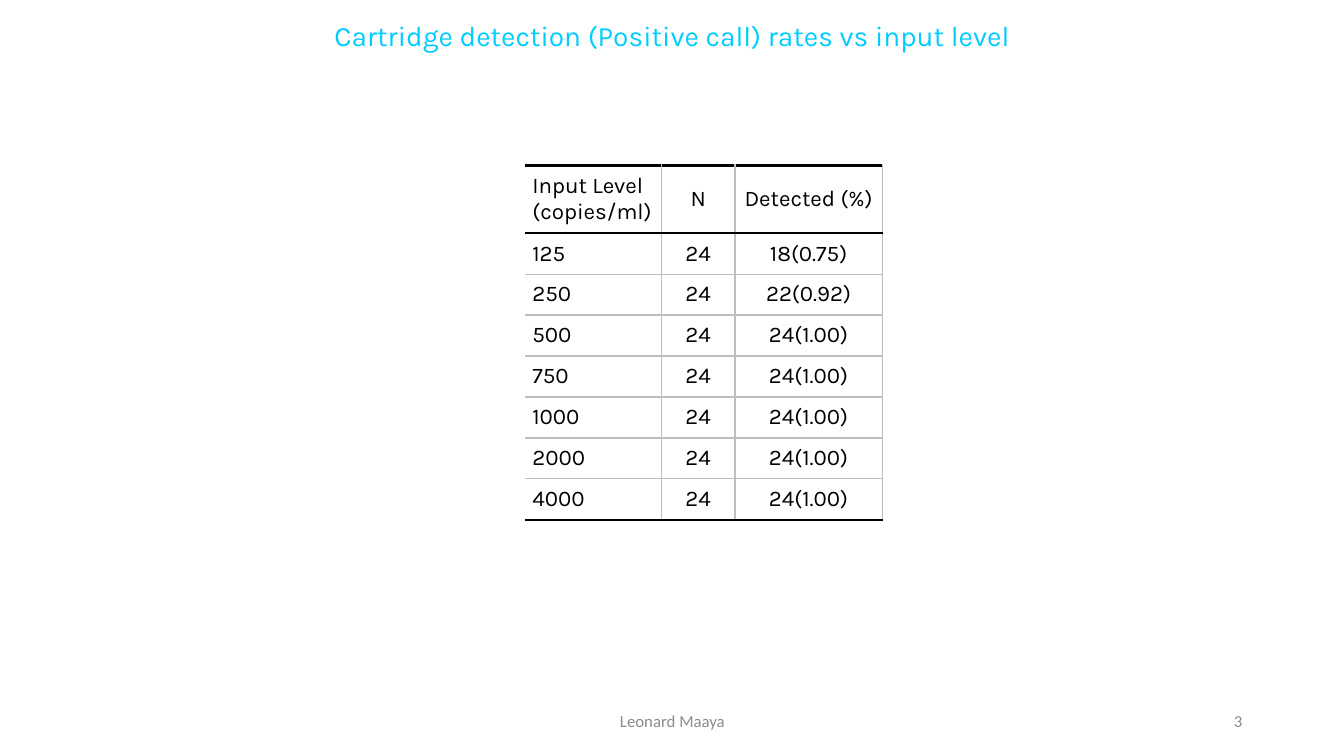
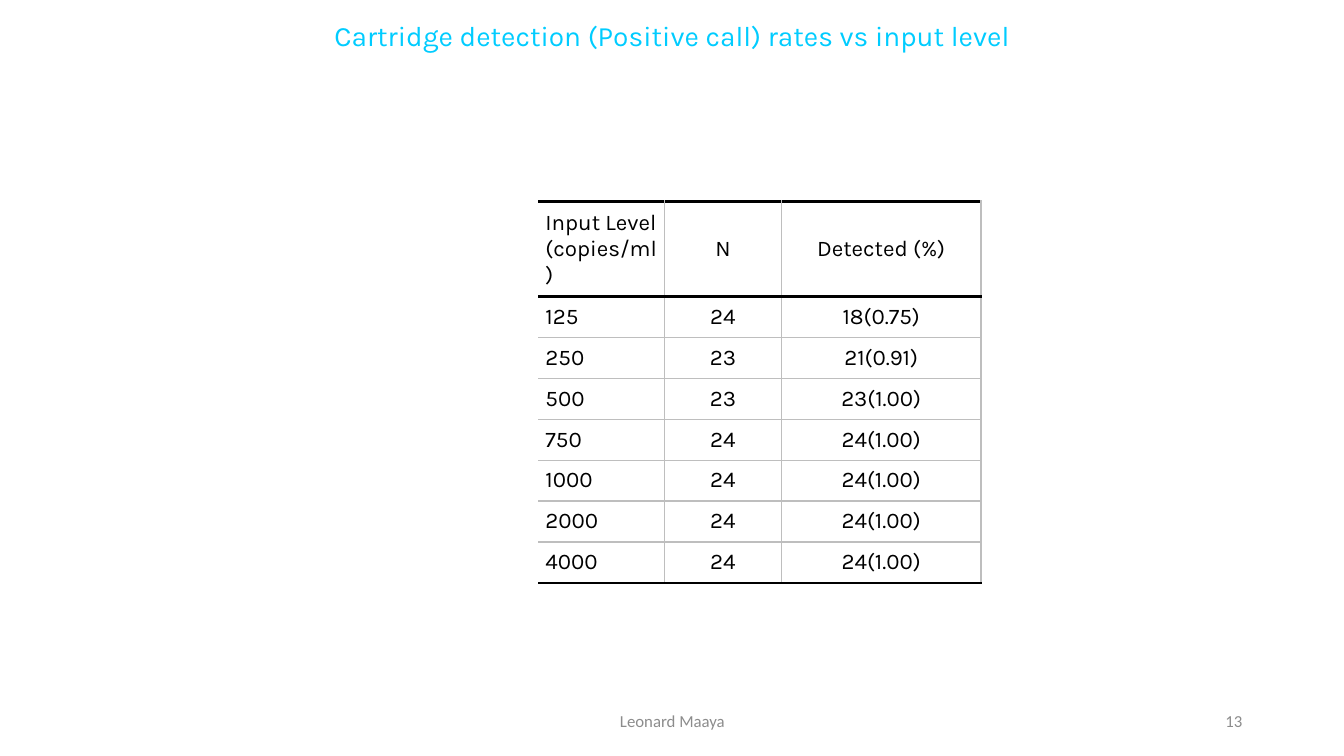
"""Build two slides of cartridge detection rates by input level."""
from dataclasses import dataclass

from lxml import etree
from pptx import Presentation
from pptx import util as u
from pptx.dml.color import RGBColor
from pptx.enum import text
from pptx.oxml.ns import qn

PX = 9144
KARLA, CALIBRI = "Karla", "Calibri"
BLACK, CYAN, GREY, RULE = "000000", "00CCFF", "8C8C8C", "BEBEBE"
LEFT, MID, RIGHT = text.PP_ALIGN.LEFT, text.PP_ALIGN.CENTER, text.PP_ALIGN.RIGHT
TITLE = "Cartridge detection (Positive call) rates vs input level"
AUTHOR = "Leonard Maaya"
HEAD = ("Input Level (copies/ml)", "N", "Detected (%)")
LEVELS = (125, 250, 500, 750, 1000, 2000, 4000)
PAD, ROW = 7, 25


@dataclass(frozen=True)
class Style:
    font: str
    size: int
    color: str
    align: text.PP_ALIGN


@dataclass(frozen=True)
class Page:
    number: int
    left: int
    top: int
    cols: tuple[int, ...]
    counts: tuple[tuple[int, int], ...]


HEADING = Style(KARLA, 20, CYAN, MID)
FOOTER = Style(CALIBRI, 12, GREY, MID)
FOLIO = Style(CALIBRI, 12, GREY, RIGHT)
LABEL = Style(KARLA, 16, BLACK, LEFT)
VALUE = Style(KARLA, 16, BLACK, MID)

PAGES = (
    Page(3, 521, 164, (135, 73, 146),
         ((24, 18), (24, 22)) + ((24, 24),) * 5),
    Page(13, 534, 200, (125, 116, 198),
         ((24, 18), (23, 21), (23, 23)) + ((24, 24),) * 4),
)


def px(n: int) -> u.Emu:
    """Turn px into EMU."""
    return u.Emu(n * PX)


def rgb(code: str) -> RGBColor:
    """Turn a hex string into a colour."""
    return RGBColor.from_string(code)


def write(frame, words: str, style: Style):
    """Put styled words in a text frame and return the paragraph."""
    frame.text = words
    para = frame.paragraphs[0]
    para.alignment = style.align
    for run in para.runs:
        run.font.name = style.font
        run.font.size = u.Pt(style.size)
        run.font.color.rgb = rgb(style.color)
    return para


def label(slide, box: tuple[int, ...], words: str, style: Style, anchor):
    """Add a wrapped text box and return its paragraph."""
    frame = slide.shapes.add_textbox(*map(px, box)).text_frame
    frame.word_wrap = True
    frame.vertical_anchor = anchor
    return write(frame, words, style)


def edge(cell, side: str, color: str | None, width: int = 1) -> None:
    """Draw one border of a cell, or hide it when no colour is given."""
    props = cell._tc.get_or_add_tcPr()
    line = etree.SubElement(props, qn(f"a:ln{side}"), w=str(u.Pt(width)))
    if color is None:
        etree.SubElement(line, qn("a:noFill"))
    else:
        fill = etree.SubElement(line, qn("a:solidFill"))
        etree.SubElement(fill, qn("a:srgbClr"), val=color)


def fill_cell(cell, words: str, row: int, col: int) -> None:
    """Write a cell and draw its borders."""
    para = write(cell.text_frame, words, VALUE if col else LABEL)
    para.space_before = para.space_after = u.Pt(5)
    props = para._p.get_or_add_pPr()
    for key in ("marL", "marR"):
        props.set(key, str(px(PAD)))
    cell.vertical_anchor = text.MSO_ANCHOR.MIDDLE
    cell.margin_left = cell.margin_right = 0
    cell.margin_top = cell.margin_bottom = px(PAD)
    heavy, light = (BLACK, 2), (RULE, 1)
    edge(cell, "L", RULE if col else None)
    edge(cell, "R", RULE)
    edge(cell, "T", *(heavy if row < 2 else light))
    edge(cell, "B", *(heavy if row in (0, len(LEVELS)) else light))
    cell.fill.background()


def add_rates(slide, page: Page) -> None:
    """Add the table of detection rates."""
    rows = [HEAD] + [
        (str(level), str(n), f"{hits}({hits / n:.2f})")
        for level, (n, hits) in zip(LEVELS, page.counts)
    ]
    box = (page.left, page.top, sum(page.cols), ROW * len(rows))
    table = slide.shapes.add_table(
        len(rows), len(HEAD), *map(px, box)).table
    table.first_row = table.horz_banding = False
    for col, width in zip(table.columns, page.cols):
        col.width = px(width)
    for r, row in enumerate(rows):
        for c, words in enumerate(row):
            fill_cell(table.cell(r, c), words, r, c)


def add_page(deck, page: Page) -> None:
    """Add one slide with title, footer and table."""
    slide = deck.slides.add_slide(deck.slide_layouts[6])
    top, mid = text.MSO_ANCHOR.TOP, text.MSO_ANCHOR.MIDDLE
    title = label(slide, (167, 20, 1000, 40), TITLE, HEADING, top)
    title.line_spacing = 0.8
    title.space_before = u.Pt(10)
    label(slide, (442, 695, 450, 40), AUTHOR, FOOTER, mid)
    label(slide, (942, 695, 300, 40), str(page.number), FOLIO, mid)
    add_rates(slide, page)


def main() -> None:
    """Build and save the deck."""
    deck = Presentation()
    deck.slide_width, deck.slide_height = px(1333), px(750)
    for page in PAGES:
        add_page(deck, page)
    deck.save("out.pptx")


if __name__ == "__main__":
    main()
